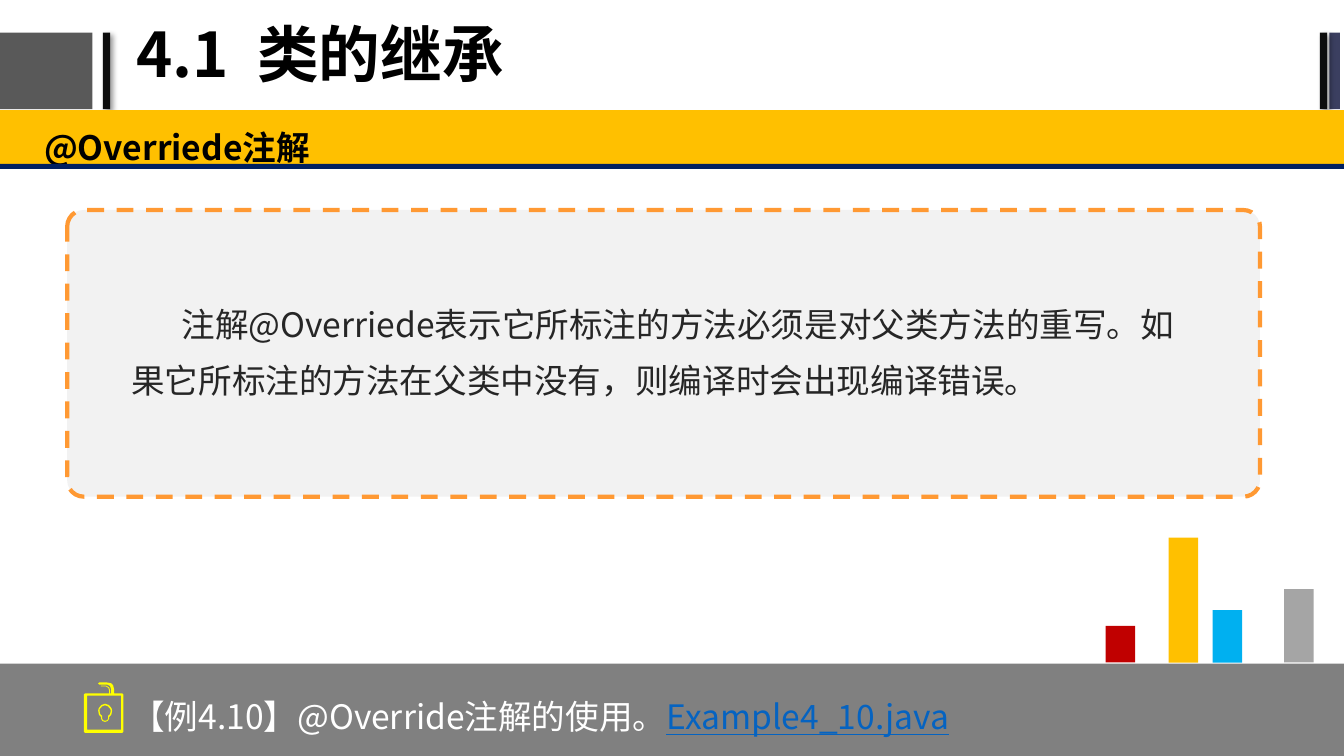
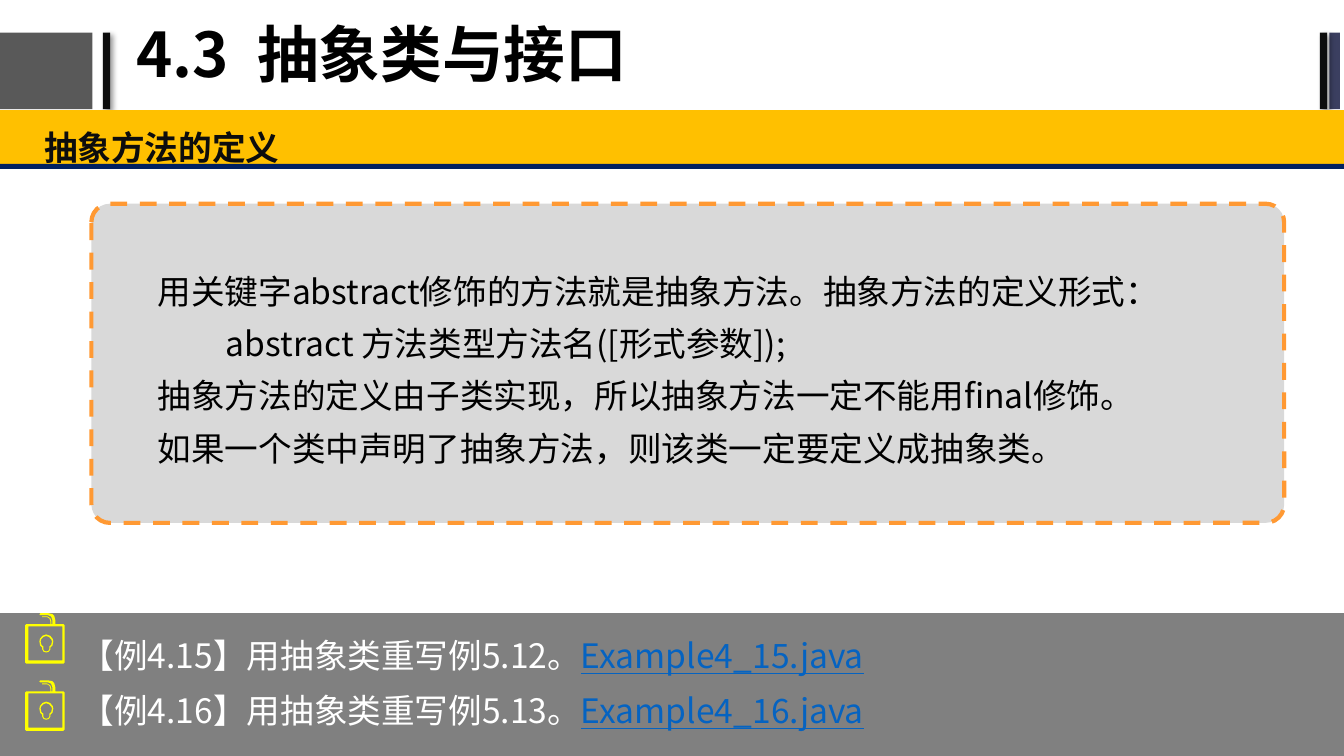
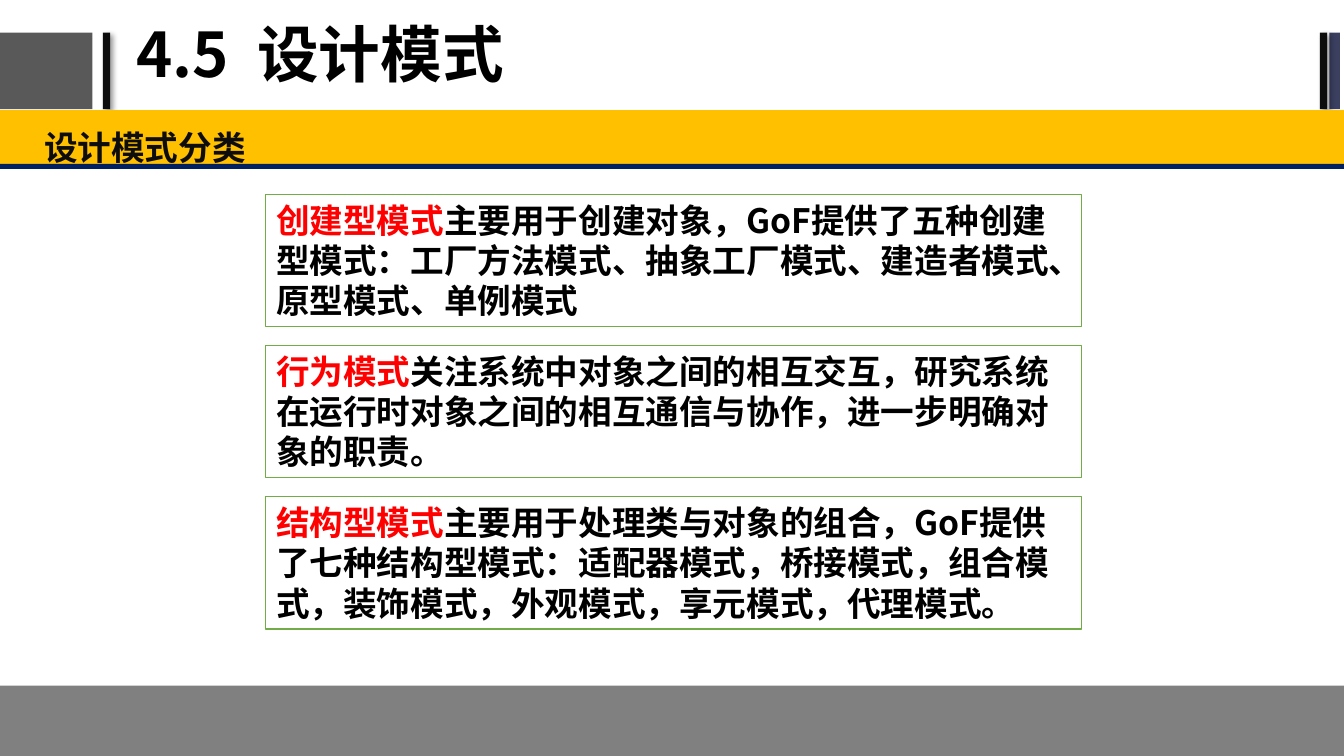
"""Build three lecture slides on inheritance, abstract classes and design patterns."""
import lxml.etree
import pptx
import pptx.dml.color
import pptx.enum.dml
import pptx.enum.lang
import pptx.enum.shapes
import pptx.enum.text
import pptx.oxml.ns
import pptx.util

PX = 9525
WIDTH, HEIGHT = 1280, 720
RECTANGLE = pptx.enum.shapes.MSO_SHAPE.RECTANGLE
ROUNDED = pptx.enum.shapes.MSO_SHAPE.ROUNDED_RECTANGLE
MIDDLE = pptx.enum.text.MSO_ANCHOR.MIDDLE
qn = pptx.oxml.ns.qn


class Theme:
    font = "Noto Sans CJK SC"
    title_size, text_size = 44, 24
    black, ink, soft_ink = "000000", "0D0D0D", "262626"
    white, pale, light = "FFFFFF", "F2F2F2", "D9D9D9"
    block, footer, silver = "595959", "808080", "A5A5A5"
    slate, navy, band = "3B3F60", "002060", "FFC000"
    orange, green, yellow = "FF9933", "70AD47", "FFFF00"
    sky, crimson, red, link = "00B0F0", "C00000", "FF0000", "0563C1"


def add_box(slide, bounds, fill=None, kind=RECTANGLE, line=None, line_width=1, shadow=False):
    lengths = [value * PX for value in bounds]
    if fill is None:
        return slide.shapes.add_textbox(*lengths)
    shape = slide.shapes.add_shape(kind, *lengths)
    shape.shadow.inherit = False
    shape.fill.solid()
    shape.fill.fore_color.rgb = pptx.dml.color.RGBColor.from_string(fill)
    if line:
        shape.line.color.rgb = pptx.dml.color.RGBColor.from_string(line)
        shape.line.width = pptx.util.Pt(line_width)
    else:
        shape.line.fill.background()
    if kind == ROUNDED:
        shape.adjustments[0] = 0.058
        shape.line.dash_style = pptx.enum.dml.MSO_LINE.DASH
    if shadow:
        effects = shape._element.spPr.find(qn("a:effectLst"))
        outer = lxml.etree.SubElement(
            effects, qn("a:outerShdw"), blurRad="50800", dist="38100", dir="2700000", algn="tl")
        color = lxml.etree.SubElement(outer, qn("a:srgbClr"), val=Theme.black)
        lxml.etree.SubElement(color, qn("a:alpha"), val="40000")
    return shape


def write(shape, paragraphs, size=Theme.text_size, bold=False, spacing=1.0,
          space_before=0, indents=(), insets=(10, 5), anchor=pptx.enum.text.MSO_ANCHOR.TOP):
    frame = shape.text_frame
    frame_format = {
        "word_wrap": True, "vertical_anchor": anchor,
        "margin_left": insets[0] * PX, "margin_right": insets[0] * PX,
        "margin_top": insets[1] * PX, "margin_bottom": insets[1] * PX}
    for name, value in frame_format.items():
        setattr(frame, name, value)
    for index, runs in enumerate(paragraphs):
        paragraph = frame.add_paragraph() if index else frame.paragraphs[0]
        paragraph.alignment = pptx.enum.text.PP_ALIGN.LEFT
        paragraph.line_spacing = spacing
        if index and space_before:
            paragraph.space_before = pptx.util.Pt(space_before)
        if indents:
            properties = paragraph._p.get_or_add_pPr()
            properties.set("marL", "0")
            properties.set("indent", str(indents[index] * PX))
        for text, color in runs:
            run = paragraph.add_run()
            run.text = text
            font_format = {
                "name": Theme.font, "size": pptx.util.Pt(size), "bold": bold,
                "underline": color == Theme.link,
                "language_id": pptx.enum.lang.MSO_LANGUAGE_ID.SIMPLIFIED_CHINESE}
            for name, value in font_format.items():
                setattr(run.font, name, value)
            run.font.color.rgb = pptx.dml.color.RGBColor.from_string(color)
            lxml.etree.SubElement(run._r.rPr, qn("a:ea"), typeface=Theme.font)


presentation = pptx.Presentation()
presentation.slide_width = WIDTH * PX
presentation.slide_height = HEIGHT * PX

header_blocks = [
    ((0, 31, 88, 73), Theme.block, False),
    ((98, 31, 7, 73), Theme.ink, True),
    ((1266, 31, 10, 73), Theme.slate, False),
    ((1257, 31, 7, 73), Theme.ink, True),
    ((0, 105, WIDTH, 56), Theme.band, False),
]
banded = {"insets": (13, 7), "spacing": 1.2}
headings = [
    ("4.1  类的继承", "@Overriede注解", Theme.black, 632),
    ("4.3  抽象类与接口", "抽象方法的定义", Theme.ink, 584),
    ("4.5  设计模式", "设计模式分类", Theme.ink, 653),
]
slides = []
for title, subtitle, subtitle_color, footer_top in headings:
    slide = presentation.slides.add_slide(presentation.slide_layouts[6])
    for bounds, fill, shadow in header_blocks:
        add_box(slide, bounds, fill, shadow=shadow)
    write(add_box(slide, (120, 2, 813, 106)), [[(title, Theme.black)]],
          size=Theme.title_size, bold=True, spacing=0.9, anchor=MIDDLE)
    write(add_box(slide, (29, 106, 1251, 55)), [[(subtitle, subtitle_color)]],
          bold=True, **banded)
    add_box(slide, (0, 156, WIDTH, 5), Theme.navy)
    add_box(slide, (0, footer_top, WIDTH, HEIGHT - footer_top), Theme.footer)
    slides.append(slide)
override_slide, abstract_slide, pattern_slide = slides

add_box(override_slide, (64, 200, 1136, 273), Theme.pale, ROUNDED, Theme.orange, 3)
write(add_box(override_slide, (112, 267, 1051, 214)),
      [[("注解@Overriede表示它所标注的方法必须是对父类方法的重写。"
         "如果它所标注的方法在父类中没有，则编译时会出现编译错误。", Theme.soft_ink)]],
      spacing=1.4, indents=[48], insets=(13, 7))
bars = [(1223, 70, Theme.silver), (1155, 50, Theme.sky),
        (1113, 119, Theme.band), (1053, 35, Theme.crimson)]
for left, height, color in bars:
    add_box(override_slide, (left, 631 - height, 28, height), color)

definition = add_box(abstract_slide, (87, 194, 1136, 304), Theme.light, ROUNDED, Theme.orange, 3)
definition_lines = [
    "用关键字abstract修饰的方法就是抽象方法。抽象方法的定义形式：",
    "abstract 方法类型方法名([形式参数]);",
    "抽象方法的定义由子类实现，所以抽象方法一定不能用final修饰。",
    "如果一个类中声明了抽象方法，则该类一定要定义成抽象类。",
]
write(definition, [[(text, Theme.black)] for text in definition_lines],
      spacing=1.3, indents=[48, 113, 48, 48], anchor=MIDDLE)

examples = [
    (override_slide, (112, 648, 1071, 72),
     [("【例4.10】@Override注解的使用。", "Example4_10.java")]),
    (abstract_slide, (64, 590, 1200, 130),
     [("【例4.15】用抽象类重写例5.12。", "Example4_15.java"),
      ("【例4.16】用抽象类重写例5.13。", "Example4_16.java")]),
]
for slide, bounds, lines in examples:
    write(add_box(slide, bounds),
          [[(text, Theme.white), (file_name, Theme.link)] for text, file_name in lines],
          space_before=4.8, **banded)

lock_outlines = [
    [(146, 42), (115, 42), (115, 27), (111, 11), (103, 3), (88, 0), (58, 0), (54, 4),
     (58, 8), (88, 8), (99, 13), (104, 27), (104, 42), (100, 42), (100, 31), (96, 19),
     (84, 12), (65, 12), (65, 15), (84, 15), (93, 21), (96, 31), (96, 42), (4, 42),
     (0, 46), (0, 188), (4, 192), (146, 192), (150, 188), (150, 46)],
    [(142, 180), (12, 180), (12, 50), (142, 50)],
]
bulb_outlines = [
    [(80, 81), (66, 86), (56, 98), (54, 108), (57, 123), (65, 131), (65, 138), (70, 147),
     (80, 150), (90, 147), (96, 138), (96, 131), (104, 123), (107, 108), (105, 98), (95, 86)],
    [(80, 87), (69, 91), (60, 101), (59, 108), (62, 121), (69, 127), (69, 138), (73, 144),
     (80, 146), (88, 144), (92, 138), (92, 127), (99, 121), (102, 108), (100, 101), (91, 91)],
]
icon_places = [(override_slide, 80, 650), (abstract_slide, 24, 584), (abstract_slide, 24, 648)]
for slide, left, top in icon_places:
    for outer, inner in (lock_outlines, bulb_outlines):
        builder = slide.shapes.build_freeform(*outer[0], scale=PX / 4)
        builder.add_line_segments(outer[1:], close=True)
        builder.move_to(*inner[0])
        builder.add_line_segments(inner[1:], close=True)
        icon_part = builder.convert_to_shape(left * PX, top * PX)
        icon_part.shadow.inherit = False
        icon_part.fill.solid()
        icon_part.fill.fore_color.rgb = pptx.dml.color.RGBColor.from_string(Theme.yellow)
        icon_part.line.fill.background()

patterns = [
    ("创建型模式", "主要用于创建对象，GoF提供了五种创建型模式："
     "工厂方法模式、抽象工厂模式、建造者模式、原型模式、单例模式"),
    ("行为模式", "关注系统中对象之间的相互交互，研究系统在运行时对象之间的"
     "相互通信与协作，进一步明确对象的职责。"),
    ("结构型模式", "主要用于处理类与对象的组合，GoF提供了七种结构型模式："
     "适配器模式，桥接模式，组合模式，装饰模式，外观模式，享元模式，代理模式。"),
]
for index, (name, description) in enumerate(patterns):
    card = add_box(pattern_slide, (253, 185 + 144 * index, 777, 126), Theme.white, line=Theme.green)
    write(card, [[(name, Theme.red), (description, Theme.black)]], bold=True)
    card.text_frame.auto_size = pptx.enum.text.MSO_AUTO_SIZE.SHAPE_TO_FIT_TEXT

presentation.save("out.pptx")
